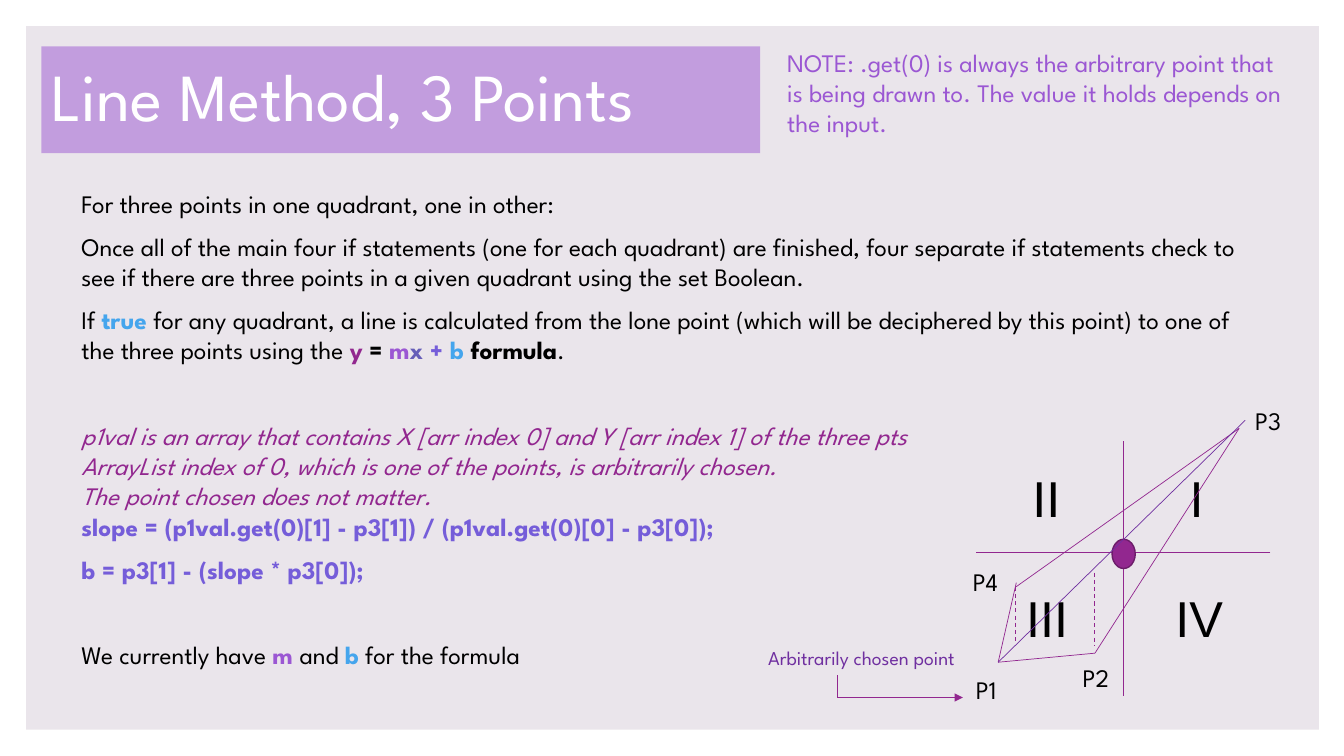
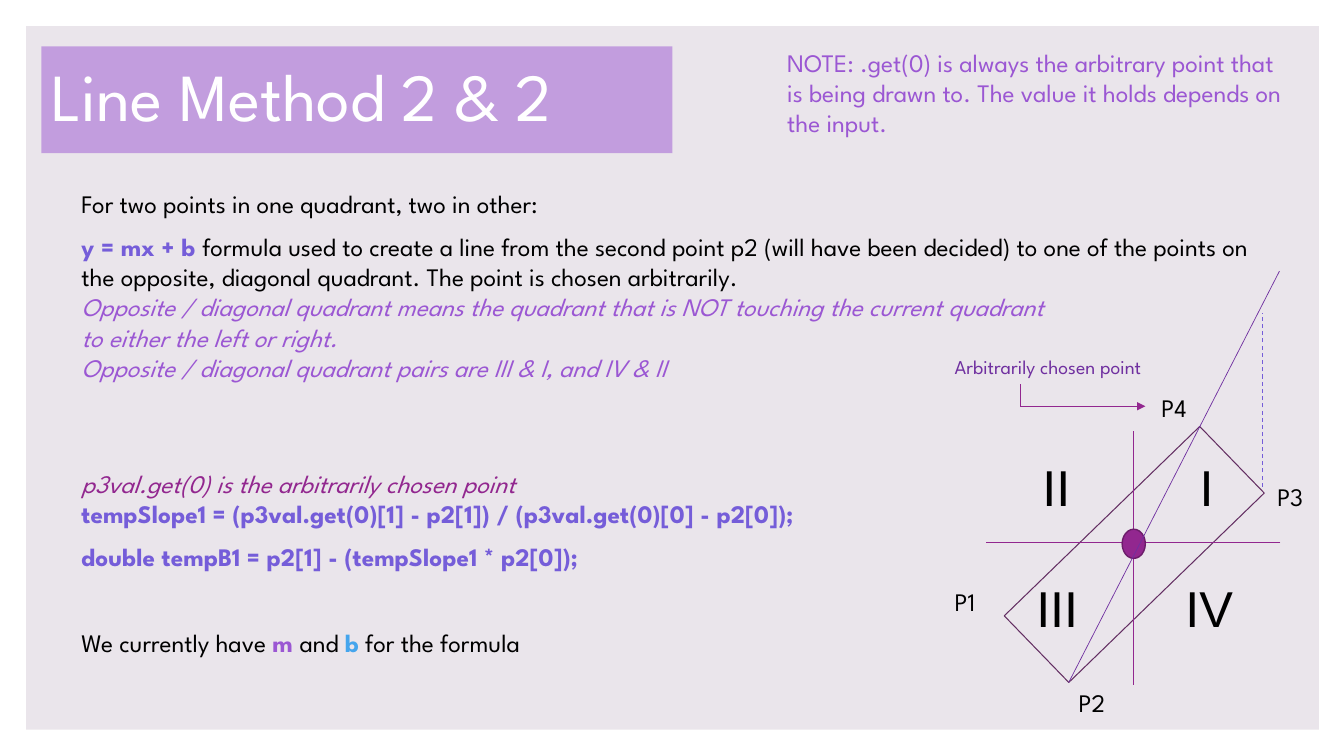
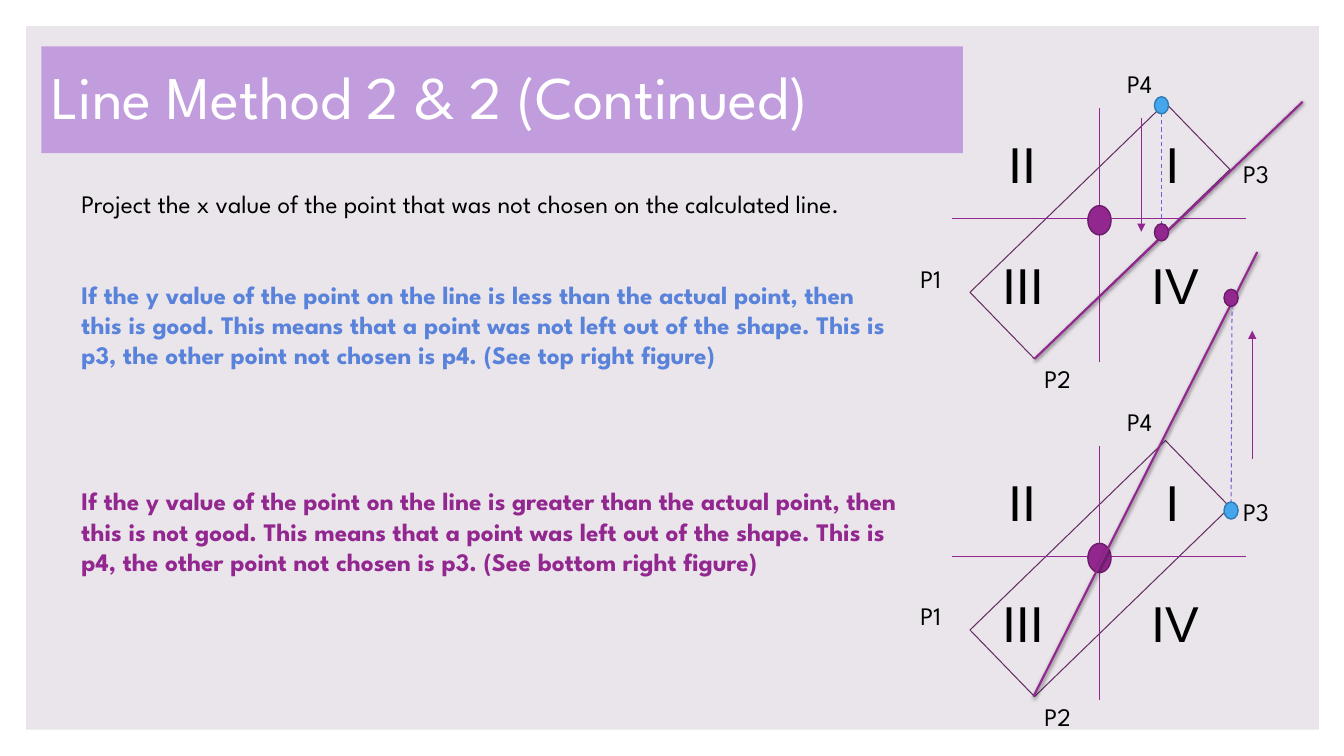
from pptx import Presentation
from pptx.dml.color import RGBColor
from pptx.enum.dml import MSO_LINE
from pptx.enum.shapes import MSO_CONNECTOR, MSO_SHAPE
from pptx.enum.text import MSO_ANCHOR, MSO_AUTO_SIZE, PP_ALIGN
from pptx.oxml.ns import qn
from pptx.util import Inches, Pt
from lxml.etree import SubElement

HUES = {
    "panel": "EAE5EB", "white": "FFFFFF", "black": "000000",
    "lilac": "9B57D3", "plum": "92278F", "rim": "6C1D6A",
    "frame": "632E62", "violet": "7030A0", "iris": "755DD9",
    "indigo": "665EB8", "sky": "45A5ED", "navy": "337AAF",
    "blue": "5982DB",
}
FONT = "League Spartan"
GAP = 9
WIDE = 39.6
NOTE = ("NOTE: .get(0) is always the arbitrary point that is being drawn to. "
        "The value it holds depends on the input.")
CLOSE = (WIDE, [("We currently have ",), ("m ", "lilac", "b"), ("and ",),
                ("b", "sky", "b"), (" for the formula",)])


def tint(hue):
    return RGBColor.from_string(HUES[hue])


def write(para, text, size=18, hue="black", bold=False, italic=False, font=FONT):
    run = para.add_run()
    run.text = text
    run.font.name = font
    run.font.size = Pt(size)
    run.font.bold = bold
    run.font.italic = italic
    run.font.color.rgb = tint(hue)


def box(slide, left, top, width, height, wrap=True, grow=True):
    frame = slide.shapes.add_textbox(
        Inches(left), Inches(top), Inches(width), Inches(height)).text_frame
    frame.word_wrap = wrap
    frame.auto_size = MSO_AUTO_SIZE.SHAPE_TO_FIT_TEXT if grow else MSO_AUTO_SIZE.NONE
    return frame


def label(slide, text, left, top, width, height, wrap=True, **style):
    frame = box(slide, left, top, width, height, wrap)
    write(frame.paragraphs[0], text, **style)


def body(slide, width, parts):
    frame = box(slide, 0.71, 1.82, width, 5.22, grow=False)
    for index, (space, runs) in enumerate(parts):
        para = frame.add_paragraph() if index else frame.paragraphs[0]
        para.space_before = Pt(space)
        for text, hue, style in ((*run, "black", "")[:3] if len(run) == 1
                                 else run for run in runs):
            write(para, text, hue=hue, bold="b" in style, italic="i" in style)


def shape(slide, kind, left, top, width, height, fill=None, line=None, weight=1):
    item = slide.shapes.add_shape(
        kind, Inches(left), Inches(top), Inches(width), Inches(height))
    item.shadow.inherit = False
    if fill:
        item.fill.solid()
        item.fill.fore_color.rgb = tint(fill)
    else:
        item.fill.background()
    if line:
        item.line.color.rgb = tint(line)
        item.line.width = Pt(weight)
    else:
        item.line.fill.background()
    return item


def line(slide, start, end, hue="plum", weight=0.5, dash=False, arrow=False, shade=False):
    item = slide.shapes.add_connector(
        MSO_CONNECTOR.STRAIGHT, *(Inches(value) for value in (*start, *end)))
    item.line.color.rgb = tint(hue)
    item.line.width = Pt(weight)
    if dash:
        item.line.dash_style = MSO_LINE.DASH
    props = item._element.spPr
    if arrow:
        SubElement(props.find(qn("a:ln")), qn("a:tailEnd"), type="triangle")
    effect = SubElement(props, qn("a:effectLst"))
    if shade:
        outer = SubElement(effect, qn("a:outerShdw"), blurRad=str(Pt(3)),
                           dist=str(Pt(1)), dir="5400000", rotWithShape="0")
        color = SubElement(outer, qn("a:srgbClr"), val=HUES["black"])
        SubElement(color, qn("a:alpha"), val="63000")


def guide(slide, start, end, hue="iris"):
    line(slide, start, end, hue, 0.75, dash=True)


def base(deck, title, width, size=48):
    slide = deck.slides.add_slide(deck.slide_layouts[6])
    shape(slide, MSO_SHAPE.RECTANGLE, 0.26, 0.26, 12.82, 6.98, "panel")
    band = shape(slide, MSO_SHAPE.RECTANGLE, 0.41, 0.46, width, 1.06, "lilac")
    color = band._element.spPr.find(qn("a:solidFill"))[0]
    SubElement(color, qn("a:alpha"), val="50000")
    frame = band.text_frame
    frame.word_wrap = True
    frame.vertical_anchor = MSO_ANCHOR.MIDDLE
    para = frame.paragraphs[0]
    para.alignment = PP_ALIGN.LEFT
    para.line_spacing = 0.9
    write(para, title, size=size, hue="white")
    return slide


def note(slide):
    label(slide, NOTE, 7.71, 0.42, 5.13, 1.01, hue="lilac")


def axes(slide, x, y):
    line(slide, (x, y - 1.1), (x, y + 1.42))
    line(slide, (x + 1.46, y), (x - 1.46, y))
    for name, right, down, width in (("II", -1, -0.9, 0.71), ("I", 0.56, -0.9, 0.71),
                                     ("III", -1.06, 0.3, 0.83), ("IV", 0.42, 0.3, 0.76)):
        label(slide, name, x + right, y + down, width, 0.71, size=36, font="Arial")
    shape(slide, MSO_SHAPE.OVAL, x - 0.11, y - 0.13, 0.23, 0.29, "plum", "rim")


def points(slide, spots):
    for name, (x, y) in spots.items():
        label(slide, name, x, y, 0.49, 0.4, wrap=False)


def tilted(slide, x, y):
    frame = shape(slide, MSO_SHAPE.RECTANGLE, x - 1.34, y - 0.34, 2.7, 0.92,
                  line="frame", weight=0.75)
    frame.rotation = 315.9
    axes(slide, x, y)
    points(slide, {"P3": (x + 1.33, y - 0.65), "P4": (x + 0.18, y - 1.54),
                   "P1": (x - 1.87, y + 0.39), "P2": (x - 0.64, y + 1.39)})


def callout(slide, x, y, stem):
    label(slide, "Arbitrarily chosen point", x, y, 2.59, 0.34, size=14, hue="violet")
    top, low = y + 0.34, y + 0.56
    line(slide, (stem, top), (stem, low))
    line(slide, (stem, low), (stem + 1.24, low), arrow=True)


def dot(slide, x, y, fill="plum", rim="rim"):
    shape(slide, MSO_SHAPE.OVAL, x, y, 0.14, 0.17, fill, rim)


def three(deck):
    slide = base(deck, "Line Method, 3 Points", 7.13)
    body(slide, 11.96, [
        (GAP, [("For three points in one quadrant, one in other:",)]),
        (GAP, [("Once all of the main four if statements (one for each quadrant) are "
                "finished, four separate if statements check to see if there are three "
                "points in a given quadrant using the set Boolean.",)]),
        (GAP, [("If ",), ("true", "sky", "b"),
               (" for any quadrant, a line is calculated from the lone point (which will "
                "be deciphered by this point) to one of the three points using the ",),
               ("y ", "plum", "b"), ("= ", "black", "b"), ("m", "lilac", "b"),
               ("x", "indigo", "b"), (" + ", "iris", "b"), ("b ", "sky", "b"),
               ("formula", "black", "b"), (".",)]),
        (WIDE, [("p1val is an array that contains X [arr index 0] and Y [arr index 1] "
                 "of the three pts", "plum", "i")]),
        (0, [("ArrayList index of 0, which is one of the points, is arbitrarily chosen.",
              "plum", "i")]),
        (0, [("The point chosen does not matter.", "plum", "i")]),
        (0, [("slope = (p1val.get(0)[1] - p3[1]) / (p1val.get(0)[0] - p3[0]);",
              "iris", "b")]),
        (GAP, [("b = p3[1] - (slope * p3[0]);", "iris", "b")]),
        CLOSE])
    axes(slide, 11.14, 5.48)
    points(slide, {"P3": (12.35, 3.97), "P1": (9.58, 6.64),
                   "P2": (10.64, 6.52), "P4": (9.55, 5.57)})
    first, second, third, fourth = (9.9, 6.57), (10.86, 6.48), (12.29, 4.25), (10.08, 5.82)
    line(slide, (10.08, 5.78), first)
    line(slide, first, second)
    line(slide, fourth, third)
    line(slide, second, third)
    line(slide, (12.35, 4.17), first, "violet")
    guide(slide, (10.07, 5.82), (10.07, 6.37), "plum")
    guide(slide, (10.86, 5.68), (10.86, 6.4), "plum")
    callout(slide, 7.52, 6.36, 8.31)
    note(slide)


def pairs(deck):
    slide = base(deck, "Line Method 2 & 2", 6.26)
    body(slide, 11.96, [
        (GAP, [("For two points in one quadrant, two in other:",)]),
        (GAP, [("y = mx + b ", "iris", "b"),
               ("formula used to create a line from the second point p2 (will have been "
                "decided) to one of the points on the opposite, diagonal quadrant. "
                "The point is chosen arbitrarily.",)]),
        (0, [("Opposite / diagonal quadrant means the quadrant that is NOT touching "
              "the current quadrant", "lilac", "i")]),
        (0, [("to either the left or right.", "lilac", "i")]),
        (0, [("Opposite / diagonal quadrant pairs are III & I, and IV & II",
              "lilac", "i")]),
        (61.2, [("p3val.get(0) is the arbitrarily chosen point", "plum", "i")]),
        (0, [("tempSlope1 = (p3val.get(0)[1] - p2[1]) / (p3val.get(0)[0] - p2[0]);",
              "iris", "b")]),
        (GAP, [("double tempB1 = p2[1] - (tempSlope1 * p2[0]);", "iris", "b")]),
        CLOSE])
    tilted(slide, 11.24, 5.38)
    line(slide, (10.6, 6.77), (12.69, 2.69), "violet")
    guide(slide, (12.52, 4.83), (12.52, 3.11))
    callout(slide, 9.37, 3.47, 10.12)
    note(slide)


def check(deck):
    slide = base(deck, "Line Method 2 & 2 (Continued)", 9.14, 43.2)
    body(slide, 8.29, [
        (GAP, [("Project the x value of the point that was not chosen on the "
                "calculated line.",)]),
        (43.2, [("If the y value of the point on the line is less than the actual point, "
                 "then this is good. This means that a point was not left out of the "
                 "shape. This is p3, the other point not chosen is p4. "
                 "(See top right figure)", "blue", "b")]),
        (82.8, [("If the y value of the point on the line is greater than the actual "
                 "point, then this is not good. This means that a point was left out of "
                 "the shape. This is p4, the other point not chosen is p3. "
                 "(See bottom right figure)", "plum", "b")])])
    tilted(slide, 10.9, 2.17)
    line(slide, (10.26, 3.56), (12.92, 1.01), weight=1.5, shade=True)
    guide(slide, (11.52, 2.38), (11.52, 1.13))
    dot(slide, 11.45, 2.22)
    dot(slide, 11.45, 0.96, "sky", "navy")
    line(slide, (11.32, 1.17), (11.32, 2.3), arrow=True)
    tilted(slide, 10.9, 5.52)
    line(slide, (10.25, 6.91), (12.47, 2.5), weight=1.5, shade=True)
    guide(slide, (12.22, 3.02), (12.21, 5.15))
    dot(slide, 12.14, 2.87)
    dot(slide, 12.14, 4.98, "sky", "navy")
    line(slide, (12.42, 4.55), (12.42, 3.28), arrow=True)


def main():
    deck = Presentation()
    deck.slide_width = Inches(13.33)
    deck.slide_height = Inches(7.5)
    three(deck)
    pairs(deck)
    check(deck)
    deck.save("out.pptx")


main()
